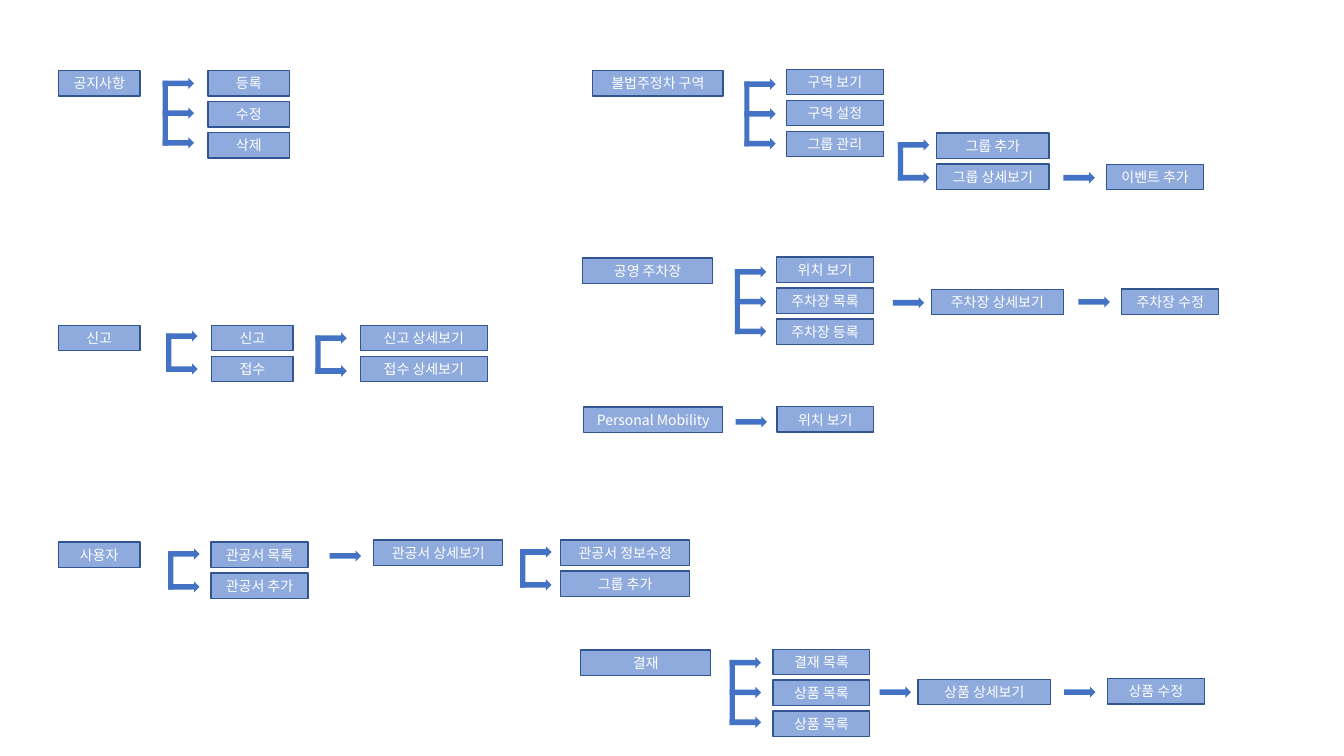
"""Build a menu map slide with boxes joined by arrows and brackets."""
import lxml.etree
import pptx
import pptx.dml.color
import pptx.enum.shapes
import pptx.enum.text
import pptx.oxml.ns
import pptx.util

Cm = pptx.util.Cm
Shapes = pptx.enum.shapes.MSO_SHAPE
COLOURS = {"box": "8FAADC", "border": "325491", "arrow": "4472C4", "text": "FFFFFF"}
FONT = "Noto Sans CJK KR"
BOX_HEIGHT, BOX_PITCH = 0.64, 0.78
ARROW_WIDTH, ARROW_HEIGHT = 0.79, 0.28
BAR_WIDTH, BAR_OFFSET = 0.13, 0.08
ARROW_PITCH = {1: 0, 2: 0.83, 3: 0.75}

# left, top, width, labels from top to bottom
MENU_COLUMNS = [
    (1.47, 1.78, 2.06, ["공지사항"]),
    (5.24, 1.78, 2.06, ["등록", "수정", "삭제"]),
    (1.47, 8.2, 2.06, ["신고"]),
    (5.33, 8.2, 2.06, ["신고", "접수"]),
    (9.08, 8.2, 3.2, ["신고 상세보기", "접수 상세보기"]),
    (1.47, 13.66, 2.06, ["사용자"]),
    (5.32, 13.66, 2.44, ["관공서 목록", "관공서 추가"]),
    (9.42, 13.61, 3.25, ["관공서 상세보기"]),
    (14.13, 13.61, 3.25, ["관공서 정보수정", "그룹 추가"]),
    (14.94, 1.78, 3.28, ["불법주정차 구역"]),
    (19.82, 1.75, 2.44, ["구역 보기", "구역 설정", "그룹 관리"]),
    (23.6, 3.35, 2.84, ["그룹 추가", "그룹 상세보기"]),
    (27.89, 4.14, 2.44, ["이벤트 추가"]),
    (14.68, 6.5, 3.28, ["공영 주차장"]),
    (19.57, 6.48, 2.44, ["위치 보기", "주차장 목록", "주차장 등록"]),
    (23.47, 7.29, 3.33, ["주차장 상세보기"]),
    (28.27, 7.28, 2.44, ["주차장 수정"]),
    (14.71, 10.26, 3.5, ["Personal Mobility"]),
    (19.58, 10.25, 2.44, ["위치 보기"]),
    (14.63, 16.38, 3.28, ["결재"]),
    (19.48, 16.36, 2.44, ["결재 목록", "상품 목록", "상품 목록"]),
    (23.14, 17.12, 3.33, ["상품 상세보기"]),
    (27.91, 17.1, 2.44, ["상품 수정"]),
]

# left, top, number of arrows
BRANCHES = [
    (4.1, 1.96, 3), (18.76, 1.98, 3), (18.52, 6.71, 3), (18.39, 16.56, 3),
    (4.19, 8.33, 2), (7.95, 8.38, 2), (4.24, 13.82, 2), (13.11, 13.77, 2),
    (22.63, 3.51, 2),
    (8.31, 13.87, 1), (26.8, 4.34, 1), (22.5, 7.49, 1), (27.18, 7.47, 1),
    (18.54, 10.49, 1), (22.17, 17.3, 1), (26.82, 17.3, 1),
]


def colour(name):
    return pptx.dml.color.RGBColor.from_string(COLOURS[name])


def add_filled(kind, left, top, width, height, fill):
    shape = slide.shapes.add_shape(kind, Cm(left), Cm(top), Cm(width), Cm(height))
    shape.shadow.inherit = False
    shape.fill.solid()
    shape.fill.fore_color.rgb = colour(fill)
    shape.line.fill.background()
    return shape


presentation = pptx.Presentation()
presentation.slide_width = Cm(33.87)
presentation.slide_height = Cm(19.05)
slide = presentation.slides.add_slide(presentation.slide_layouts[6])

for left, top, width, labels in MENU_COLUMNS:
    for row, label in enumerate(labels):
        box = add_filled(Shapes.RECTANGLE, left, top + row * BOX_PITCH, width, BOX_HEIGHT, "box")
        box.line.color.rgb = colour("border")
        box.line.width = pptx.util.Pt(1)
        box.text_frame.word_wrap = False
        box.text_frame.vertical_anchor = pptx.enum.text.MSO_ANCHOR.MIDDLE
        paragraph = box.text_frame.paragraphs[0]
        paragraph.alignment = pptx.enum.text.PP_ALIGN.CENTER
        run = paragraph.add_run()
        run.text = label
        run.font.size = pptx.util.Pt(10)
        run.font.name = FONT
        run.font.color.rgb = colour("text")
        east_asian = lxml.etree.SubElement(run.font._element, pptx.oxml.ns.qn("a:ea"))
        east_asian.set("typeface", FONT)

for left, top, count in BRANCHES:
    pitch = ARROW_PITCH[count]
    for row in range(count):
        add_filled(Shapes.RIGHT_ARROW, left, top + row * pitch, ARROW_WIDTH, ARROW_HEIGHT, "arrow")
    if count > 1:
        bar_height = (count - 1) * pitch + BAR_WIDTH
        add_filled(Shapes.RECTANGLE, left, top + BAR_OFFSET, BAR_WIDTH, bar_height, "arrow")

presentation.save("out.pptx")
